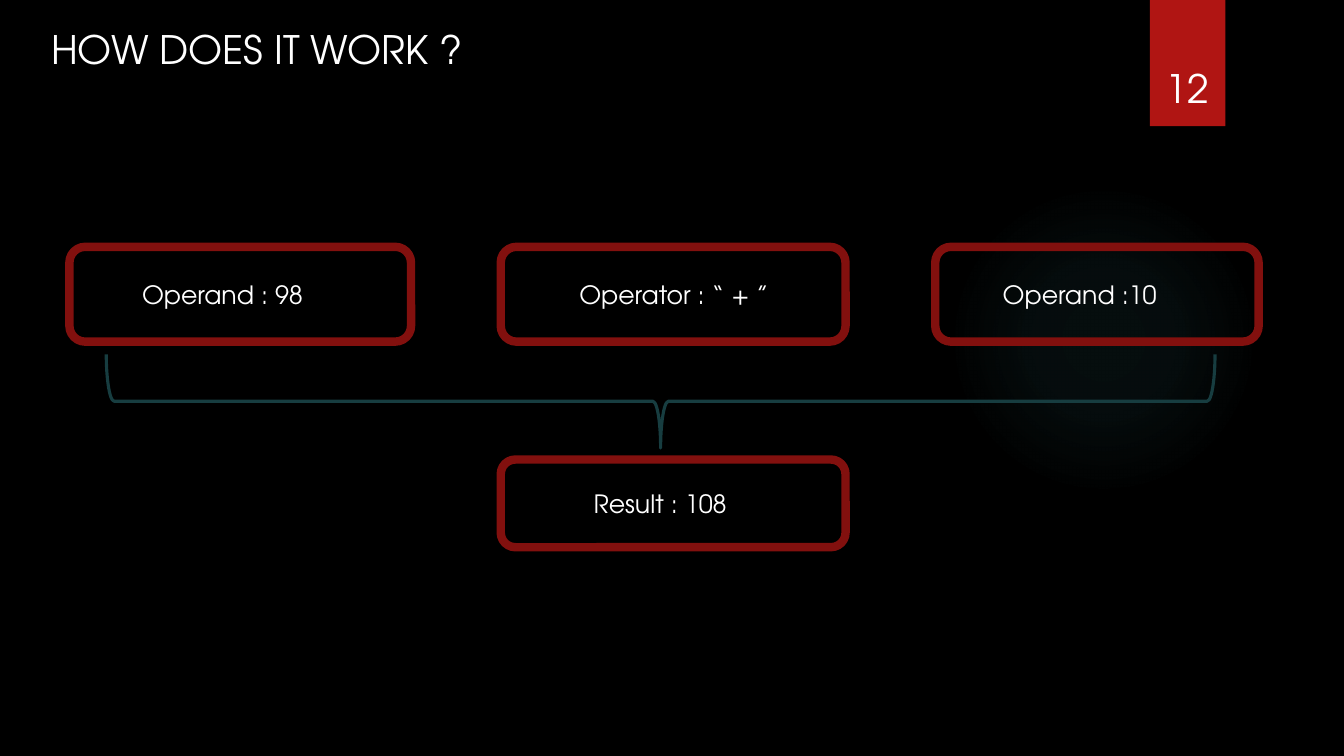
"""Build the slide that shows how an operator joins two operands into a result."""
from lxml import etree
from pptx import Presentation
from pptx import util as u
from pptx.dml.color import RGBColor
from pptx.enum import shapes as sh, text as tx
from pptx.oxml import parse_xml

BLACK = RGBColor(0x00, 0x00, 0x00)
WHITE = RGBColor(0xFF, 0xFF, 0xFF)
RED = RGBColor(0xB0, 0x15, 0x13)
DARK = RGBColor(0x82, 0x10, 0x0E)
TEAL = RGBColor(0x17, 0x3D, 0x40)
GLOW = RGBColor(0x50, 0xB9, 0xC1)
FONT = "TeX Gyre Adventor"
NS = "http://schemas.openxmlformats.org/drawingml/2006/main"
KIND = sh.MSO_SHAPE

deck = Presentation()
deck.slide_width, deck.slide_height = u.Cm(33.87), u.Cm(19.05)
slide = deck.slides.add_slide(deck.slide_layouts[6])
back = slide.background.fill
back.solid()
back.fore_color.rgb = BLACK


def draw(kind, spot, fill=None, line=None, width=0):
    """Add a preset shape at a spot given in centimetres."""
    shape = slide.shapes.add_shape(kind, *map(u.Cm, spot))
    shape.shadow.inherit = False
    if fill is None:
        shape.fill.background()
    else:
        shape.fill.solid()
        shape.fill.fore_color.rgb = fill
    if line is None:
        shape.line.fill.background()
    else:
        shape.line.color.rgb = line
        shape.line.width = u.Pt(width)
    return shape


def write(words, spot, size, **form):
    """Add a line of white text, with extra text frame settings."""
    frame = slide.shapes.add_textbox(*map(u.Cm, spot)).text_frame
    for name, value in {"word_wrap": False, **form}.items():
        setattr(frame, name, value)
    para = frame.paragraphs[0]
    run = para.add_run()
    run.text = words
    for name, value in {"name": FONT, "size": u.Pt(size)}.items():
        setattr(run.font, name, value)
    run.font.color.rgb = WHITE
    return para


glow = draw(KIND.OVAL, (23.9, 4.65, 7.82, 7.82))
stops = "".join(
    f'<a:gs pos="{pos}000"><a:srgbClr val="{GLOW}"><a:alpha val="{alpha}000"/></a:srgbClr></a:gs>'
    for pos, alpha in ((0, 7), (36, 6), (69, 0)))
blend = parse_xml(
    f'<a:gradFill xmlns:a="{NS}" rotWithShape="1"><a:gsLst>{stops}</a:gsLst><a:path path="circle">'
    '<a:fillToRect l="50000" t="50000" r="50000" b="50000"/></a:path></a:gradFill>')
props = glow.element.spPr
props.replace(props.find(f"{{{NS}}}noFill"), blend)

flag = draw(KIND.RECTANGLE, (28.98, 0, 1.9, 3.18), fill=RED)
shade = etree.SubElement(flag.element.spPr.find(f"{{{NS}}}effectLst"), f"{{{NS}}}outerShdw",
                         blurRad="38100", dist="25400", dir="5400000", rotWithShape="0")
tint = etree.SubElement(shade, f"{{{NS}}}srgbClr", val=str(BLACK))
etree.SubElement(tint, f"{{{NS}}}alpha", val="45000")

write("HOW DOES IT WORK ?", (1.04, 0.51, 11.02, 1.45), 28)

TOP, LOW = (6.22, 2.39, 6.91), (11.58, 2.21, 12.19)
parts = (
    ("Operand : 98", TOP, 1.75, 8.61, 3.33, 4.62),
    ("Operator : “ + ”", TOP, 12.62, 8.69, 14.35, 5.28),
    ("Operand :10", TOP, 23.57, 8.15, 25.02, 4.45),
    ("Result : 108", LOW, 12.62, 8.69, 14.71, 3.91),
)
for words, (top, high, base), left, wide, start, span in parts:
    draw(KIND.ROUNDED_RECTANGLE, (left, top, wide, high), line=DARK, width=6)
    write(words, (start, base, span, 1.02), 18)

brace = draw(KIND.LEFT_BRACE, (15.47, -3.86, 2.36, 27.94), line=TEAL, width=2.25)
brace.rotation = 270

page = write("12", (28.75, 0.81, 2.34, 2.13), 28,
             word_wrap=True, vertical_anchor=tx.MSO_ANCHOR.BOTTOM)
page.alignment = tx.PP_ALIGN.CENTER

deck.save("out.pptx")
